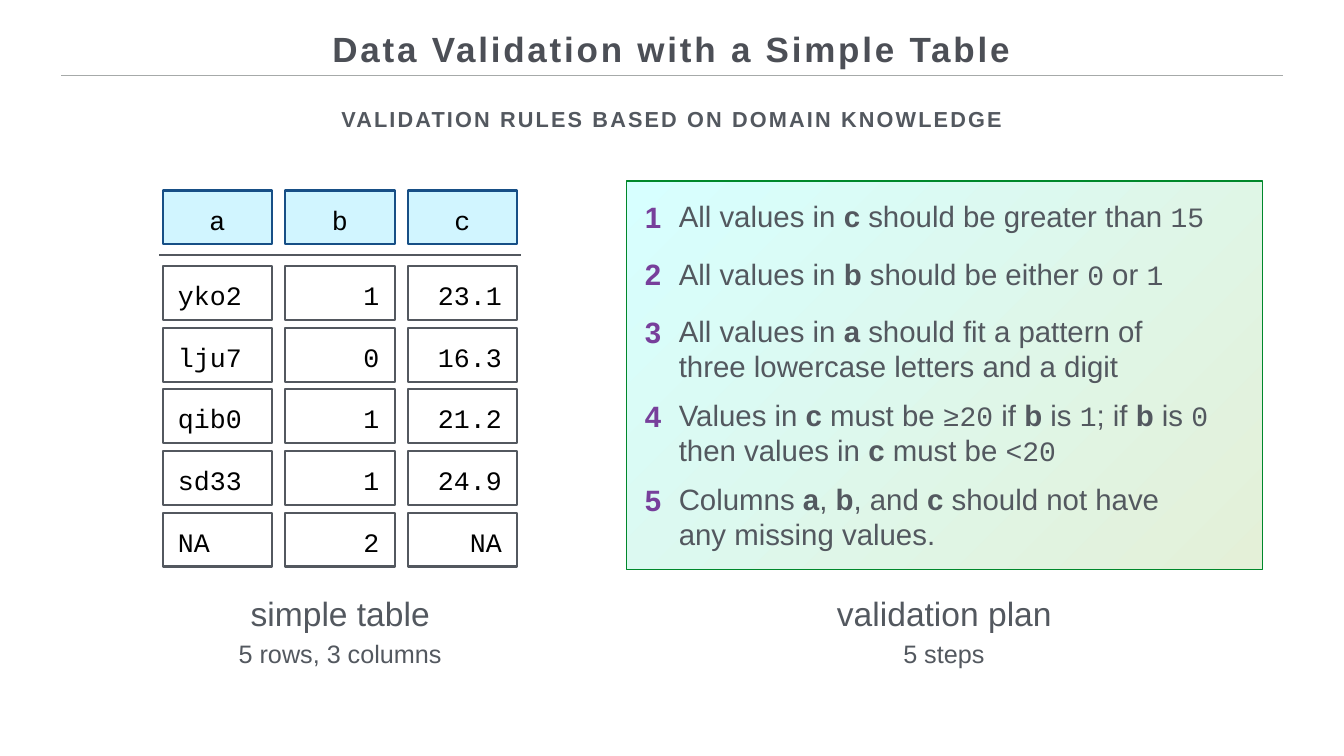
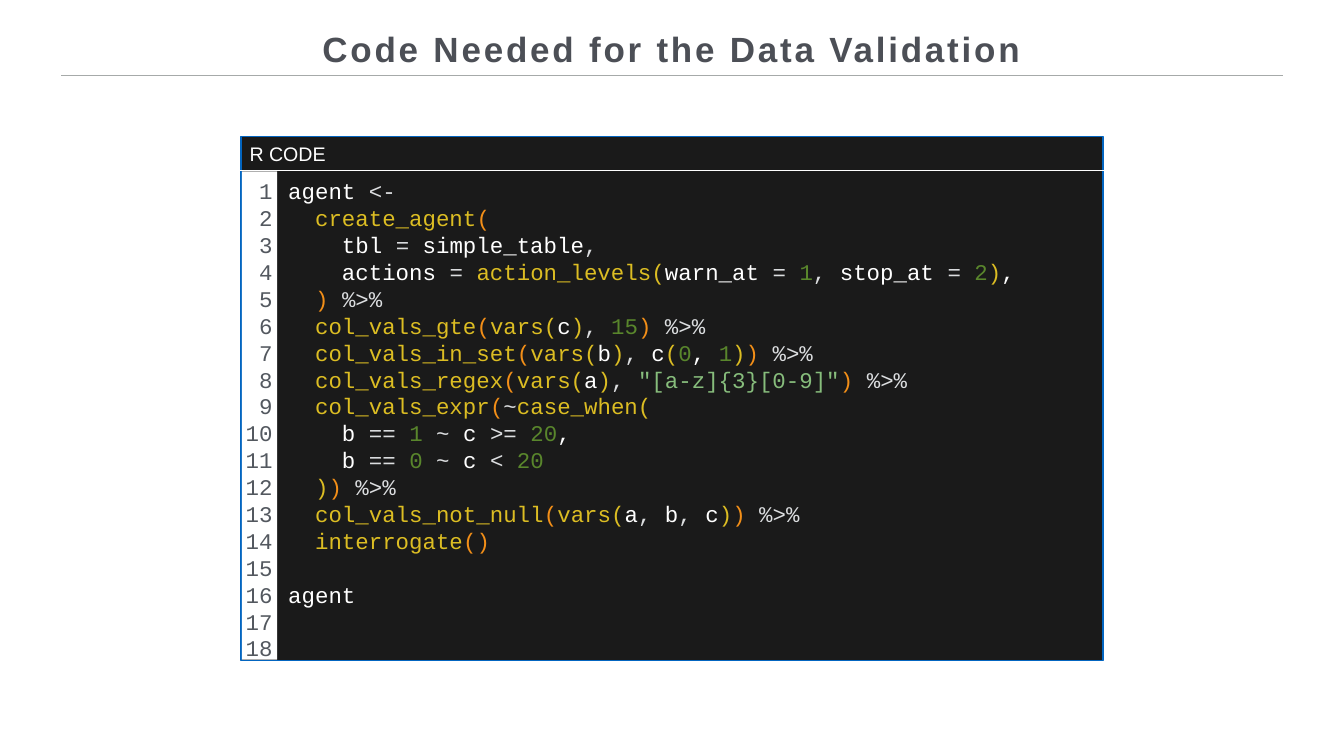
from dataclasses import dataclass
from typing import Optional

from lxml.etree import SubElement
from pptx import Presentation
from pptx.dml.color import RGBColor
from pptx.enum.shapes import MSO_CONNECTOR, MSO_SHAPE
from pptx.enum.text import MSO_ANCHOR, PP_ALIGN
from pptx.oxml.ns import qn
from pptx.util import Inches, Pt

WIDTH, HEIGHT = Inches(26.67), Inches(15)
LEADING = 1.2
INSET = 0.06

COLORS = {
    "title": "4C4F56", "slate": "53585F", "rule": "A6AAA9", "black": "000000",
    "white": "FFFFFF", "header": "A4EDFF", "header line": "174F86",
    "plan line": "00882B", "plan start": "D7FFFF", "plan end": "E4F0D8",
    "purple": "773F9B", "editor": "1A1A1A", "editor line": "0365C0",
    "grey": "DCDEE0", "yellow": "DCBD23", "orange": "F38F18",
    "number": "59862C", "string": "87BD7C",
}


@dataclass(frozen=True)
class Box:
    """Left, top, width and height in percent of the slide."""
    left: float
    top: float
    width: float
    height: float


@dataclass(frozen=True)
class Style:
    size: float
    color: str
    font: str = "Arial"
    bold: bool = False
    spacing: float = 0


@dataclass(frozen=True)
class Line:
    """One paragraph: runs split by "|", each led by the key of its style."""
    markup: str
    level: int = 0
    lines_before: int = 0


MONO = "Courier New"
TITLE = Style(50, "title", bold=True, spacing=4)
SUBTITLE = Style(31, "slate", bold=True, spacing=3.1)
CAPTION = Style(48, "slate")
DETAIL = Style(36, "slate")
CELL = Style(38, "black", MONO)
STEP = Style(42, "purple", bold=True)
EDITOR_NAME = Style(28, "white")
LINE_NUMBER = Style(32, "slate", MONO)

RULE_STYLES = {
    "t": Style(42, "slate"),
    "b": Style(42, "slate", bold=True),
    "m": Style(40, "slate", MONO),
}
CODE_STYLES = {
    key: Style(32, color, MONO)
    for key, color in zip("wgyons", ("white", "grey", "yellow", "orange", "number", "string"))
}

# Slide 1: table and validation plan
HEADERS = ("a", "b", "c")
ROWS = (
    ("yko2", "1", "23.1"),
    ("lju7", "0", "16.3"),
    ("qib0", "1", "21.2"),
    ("sd33", "1", "24.9"),
    ("NA", "2", "NA"),
)
COLUMN_ALIGNS = (PP_ALIGN.LEFT, PP_ALIGN.RIGHT, PP_ALIGN.RIGHT)
TABLE_LEFT, COLUMN_PITCH, CELL_WIDTH = 12.11, 9.11, 8.14
HEADER_TOP, BODY_TOP, ROW_PITCH, CELL_HEIGHT = 25.2, 35.2, 8.15, 7.13

RULES = (
    (Line("tAll values in |bc|t should be greater than |m15"),),
    (Line("tAll values in |bb|t should be either |m0|t or |m1"),),
    (Line("tAll values in |ba|t should fit a pattern of"),
     Line("tthree lowercase letters and a digit")),
    (Line("tValues in |bc|t must be |m≥20|t if |bb|t is |m1|t; if |bb|t is |m0"),
     Line("tthen values in |bc|t must be |m<20")),
    (Line("tColumns |ba|t, |bb|t, and |bc|t should not have"),
     Line("tany missing values.")),
)
RULES_TOP = 25.93
RULE_HEIGHTS = {1: 5.4, 2: 10}
RULE_PITCHES = {1: 7.6, 2: 11.13}

CAPTIONS = (
    (Box(0.08, 78.07, 50.47, 6.13), "simple table", CAPTION),
    (Box(46.68, 78.07, 47.17, 6.13), "validation plan", CAPTION),
    (Box(14.25, 84.13, 22.12, 4.73), "5 rows, 3 columns", DETAIL),
    (Box(59.17, 84.13, 22.12, 4.73), "5 steps", DETAIL),
    (Box(23.17, 13.67, 53.62, 4.2), "VALIDATION RULES BASED ON DOMAIN KNOWLEDGE", SUBTITLE),
)

# Slide 2: code listing
CODE = (
    Line("wagent |g<-"),
    Line("ycreate_agent|o(", 1),
    Line("wtbl |g=|w simple_table|g,", 2),
    Line("wactions |g= |yaction_levels(|wwarn_at |g= |n1|g,|w stop_at |g= |n2|y)|w,", 2),
    Line("o) |g%>%", 1),
    Line("ycol_vals_gte|o(|yvars(|wc|y)|g, |n15|o) |g%>%", 1),
    Line("ycol_vals_in_set|o(|yvars(|wb|y)|g,|w c|y(|n0|w, |n1|y)|o) |g%>%", 1),
    Line('ycol_vals_regex|o(|yvars(|wa|y)|g, |s"[a-z]{3}[0-9]"|o) |g%>%', 1),
    Line("ycol_vals_expr|o(|g~|ycase_when(", 1),
    Line("wb |g== |n1 |g~|w c |g>= |n20|w,", 2),
    Line("wb |g== |n0 |g~|w c |g< |n20", 2),
    Line("y)|o) |g%>%", 1),
    Line("ycol_vals_not_null|o(|yvars(|wa|g,|w b|g,|w c|y)|o) |g%>%", 1),
    Line("yinterrogate|o()", 1),
    Line("wagent", lines_before=1),
)
LINE_COUNT = 18
CODE_TOP = 23.07


def across(percent: float) -> int:
    return round(WIDTH * percent / 100)


def down(percent: float) -> int:
    return round(HEIGHT * percent / 100)


def place(box: Box) -> tuple:
    return across(box.left), down(box.top), across(box.width), down(box.height)


def rgb(name: str) -> RGBColor:
    return RGBColor.from_string(COLORS[name])


def set_insets(frame, left=INSET, top=INSET, right=INSET, bottom=INSET) -> None:
    frame.margin_left, frame.margin_top = Inches(left), Inches(top)
    frame.margin_right, frame.margin_bottom = Inches(right), Inches(bottom)


def format_run(run, style: Style) -> None:
    run.font.name, run.font.size = style.font, Pt(style.size)
    run.font.bold = style.bold
    run.font.color.rgb = rgb(style.color)
    if style.spacing:
        run._r.get_or_add_rPr().set("spc", str(round(style.spacing * 100)))


def write(frame, text: str, style: Style, align=PP_ALIGN.CENTER) -> None:
    """Fill a frame with text of a single style, one paragraph a line."""
    frame.text = text
    for paragraph in frame.paragraphs:
        paragraph.alignment = align
        paragraph.line_spacing = Pt(style.size * LEADING)
        for run in paragraph.runs:
            format_run(run, style)


def write_lines(frame, lines: tuple, styles: dict) -> None:
    """Fill a frame with lines of marked-up runs."""
    leading = max(style.size for style in styles.values()) * LEADING
    for index, line in enumerate(lines):
        paragraph = frame.add_paragraph() if index else frame.paragraphs[0]
        paragraph.alignment = PP_ALIGN.LEFT
        paragraph.line_spacing = Pt(leading)
        if line.lines_before:
            paragraph.space_before = Pt(leading * line.lines_before)
        if line.level:  # two monospaced characters are as wide as one line is high
            paragraph._p.get_or_add_pPr().set("marL", str(Pt(leading * line.level)))
        for part in line.markup.split("|"):
            run = paragraph.add_run()
            run.text = part[1:]
            format_run(run, styles[part[0]])


def add_frame(slide, box: Box, anchor=MSO_ANCHOR.MIDDLE):
    frame = slide.shapes.add_textbox(*place(box)).text_frame
    frame.word_wrap = True
    frame.vertical_anchor = anchor
    set_insets(frame)
    return frame


def add_rectangle(slide, box: Box, fill: Optional[str] = None,
                  line: Optional[str] = None, weight: float = 2):
    shape = slide.shapes.add_shape(MSO_SHAPE.RECTANGLE, *place(box))
    shape.shadow.inherit = False
    if fill:
        shape.fill.solid()
        shape.fill.fore_color.rgb = rgb(fill)
    else:
        shape.fill.background()
    if line:
        shape.line.color.rgb = rgb(line)
        shape.line.width = Pt(weight)
    else:
        shape.line.fill.background()
    return shape


def add_divider(slide, left: float, right: float, top: float, color: str, weight: float) -> None:
    connector = slide.shapes.add_connector(
        MSO_CONNECTOR.STRAIGHT, across(left), down(top), across(right), down(top))
    connector.line.color.rgb = rgb(color)
    connector.line.width = Pt(weight)
    SubElement(connector._element.spPr, qn("a:effectLst"))


def add_titled_slide(presentation, title: str):
    slide = presentation.slides.add_slide(presentation.slide_layouts[6])
    add_divider(slide, 4.54, 95.46, 10, "rule", 2)
    write(add_frame(slide, Box(5.14, 3.27, 89.65, 6.27)), title, TITLE)
    return slide


def add_cell(slide, column: int, top: float, text: str, align, header: bool = False) -> None:
    box = Box(TABLE_LEFT + column * COLUMN_PITCH, top, CELL_WIDTH, CELL_HEIGHT)
    shape = add_rectangle(slide, box, "header" if header else None,
                          "header line" if header else "slate", 3)
    if header:
        color = shape.fill._xPr.find(qn("a:solidFill"))[0]
        SubElement(color, qn("a:alpha")).set("val", "50000")
    frame = shape.text_frame
    frame.vertical_anchor = MSO_ANCHOR.MIDDLE
    set_insets(frame, left=0.3, top=0.08, right=0.3, bottom=0)
    write(frame, text, CELL, align)


def draw_simple_table(slide) -> None:
    for column, (header, align) in enumerate(zip(HEADERS, COLUMN_ALIGNS)):
        add_cell(slide, column, HEADER_TOP, header, PP_ALIGN.CENTER, header=True)
        for row, values in enumerate(ROWS):
            add_cell(slide, column, BODY_TOP + row * ROW_PITCH, values[column], align)
    add_divider(slide, 11.85, 38.77, 33.73, "slate", 4)


def draw_validation_plan(slide) -> None:
    panel = add_rectangle(slide, Box(46.61, 23.93, 47.32, 51.4), line="plan line")
    panel.fill.gradient()
    panel.fill.gradient_angle = 315
    for stop, color in zip(panel.fill.gradient_stops, ("plan start", "plan end")):
        stop.color.rgb = rgb(color)
    top = RULES_TOP
    for step, lines in enumerate(RULES, start=1):
        number = add_frame(slide, Box(46.57, top, 2.85, RULE_HEIGHTS[1]))
        write(number, str(step), STEP, PP_ALIGN.RIGHT)
        rule = add_frame(slide, Box(50.28, top, 41, RULE_HEIGHTS[len(lines)]), MSO_ANCHOR.BOTTOM)
        write_lines(rule, lines, RULE_STYLES)
        top += RULE_PITCHES[len(lines)]


def draw_code_editor(slide) -> None:
    add_rectangle(slide, Box(17.92, 18.07, 64.15, 69.27), "editor", "editor line")
    code = add_frame(slide, Box(21.22, CODE_TOP, 60.93, 57.07), MSO_ANCHOR.TOP)
    write_lines(code, CODE, CODE_STYLES)
    name = add_frame(slide, Box(18.34, 18.33, 63.18, 3.87))
    write(name, "R CODE", EDITOR_NAME, PP_ALIGN.LEFT)
    # Gutter with line numbers
    add_rectangle(slide, Box(18, 22.67, 2.62, 64.6), "white")
    add_divider(slide, 17.74, 82.23, 22.53, "white", 2)
    numbers = add_frame(slide, Box(16.91, CODE_TOP, 3.6, 64.8), MSO_ANCHOR.TOP)
    write(numbers, "\n".join(str(n) for n in range(1, LINE_COUNT + 1)),
          LINE_NUMBER, PP_ALIGN.RIGHT)


def main() -> None:
    presentation = Presentation()
    presentation.slide_width, presentation.slide_height = WIDTH, HEIGHT

    slide = add_titled_slide(presentation, "Data Validation with a Simple Table")
    draw_simple_table(slide)
    draw_validation_plan(slide)
    for box, text, style in CAPTIONS:
        write(add_frame(slide, box), text, style)

    slide = add_titled_slide(presentation, "Code Needed for the Data Validation")
    draw_code_editor(slide)

    presentation.save("out.pptx")


if __name__ == "__main__":
    main()
